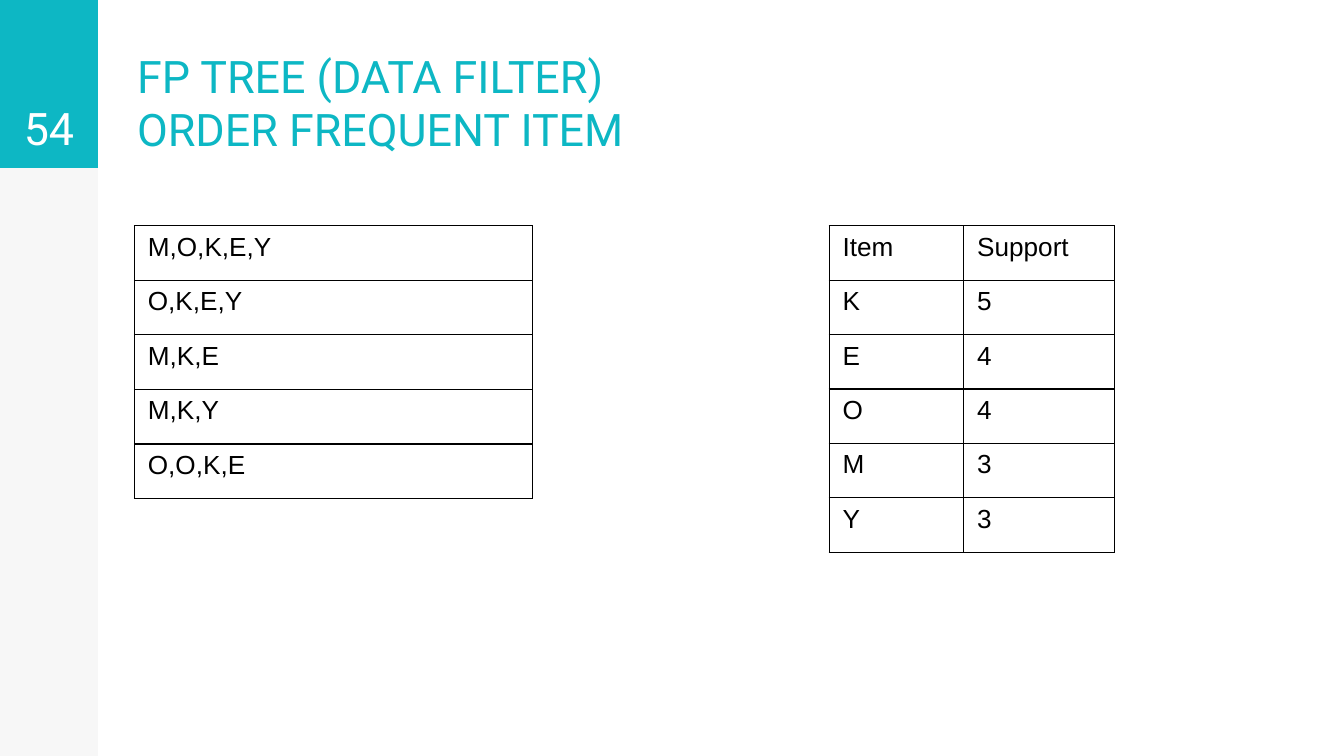
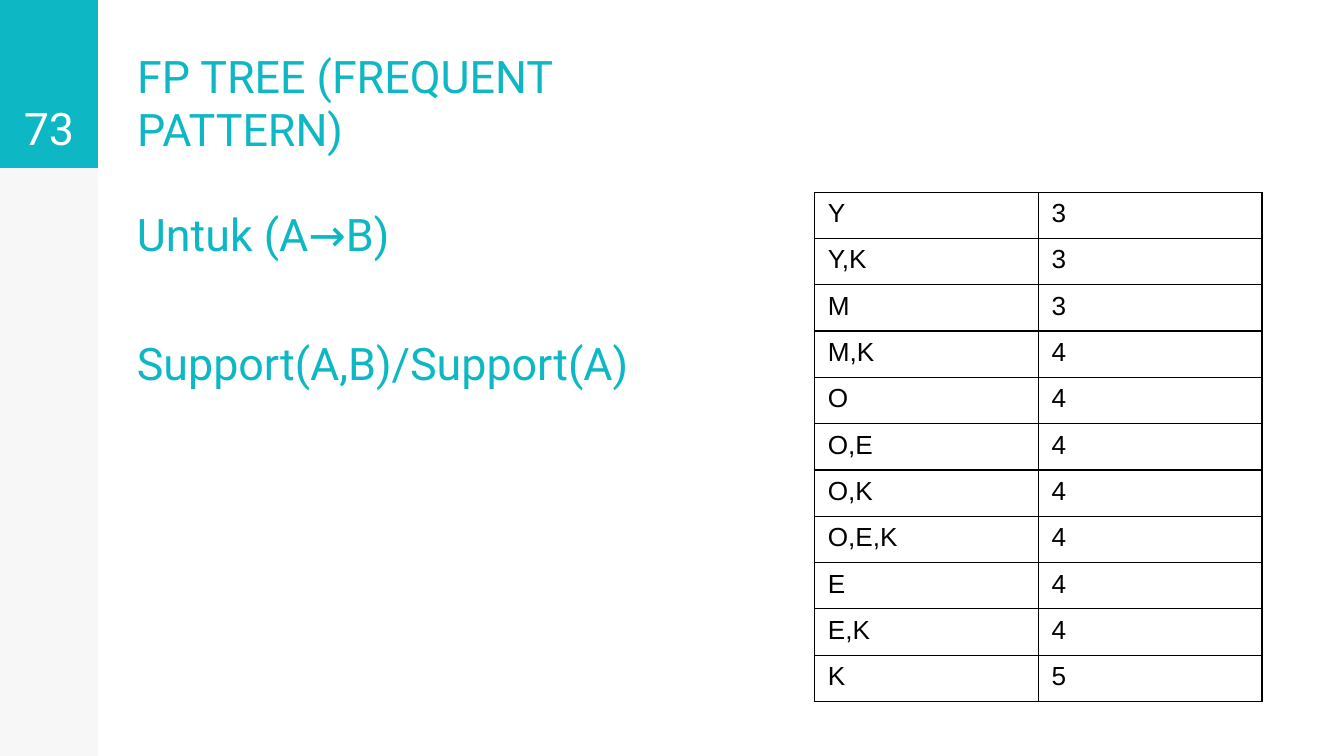
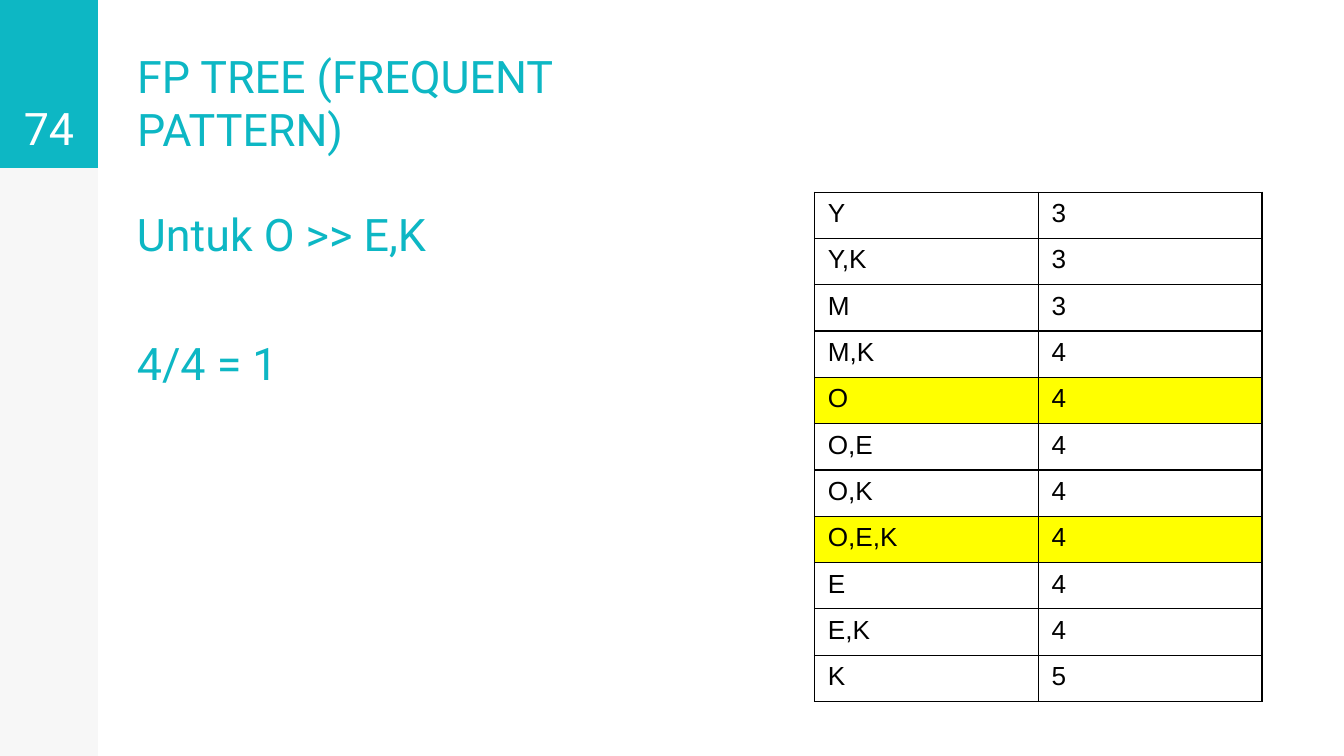
from dataclasses import dataclass

from lxml.etree import SubElement
from pptx import Presentation
from pptx.dml.color import RGBColor
from pptx.enum.shapes import MSO_SHAPE
from pptx.enum.text import MSO_ANCHOR, MSO_AUTO_SIZE, PP_ALIGN
from pptx.oxml.ns import qn
from pptx.util import Inches, Pt


@dataclass(frozen=True)
class Theme:
    teal: str = "0DB7C4"
    black: str = "000000"
    white: str = "FFFFFF"
    mark: str = "FFFF00"
    head_font: str = "Roboto"
    cell_font: str = "Arial"
    head_size: int = 24
    cell_size: int = 14
    rule: float = 0.75


THEME = Theme()
WIDTH = 10
HEIGHT = WIDTH * 9 / 16
BAND_W, BADGE_H = 0.73, 1.25
TEXT_X, TEXT_W = 0.92, 3.89

BASKETS = [["M,O,K,E,Y"], ["O,K,E,Y"], ["M,K,E"], ["M,K,Y"], ["O,O,K,E"]]
ITEMS = [("Item", "Support"), ("K", "5"), ("E", "4"), ("O", "4"), ("M", "3"), ("Y", "3")]
PATTERNS = [
    ("Y", "3"), ("Y,K", "3"), ("M", "3"), ("M,K", "4"), ("O", "4"), ("O,E", "4"),
    ("O,K", "4"), ("O,E,K", "4"), ("E", "4"), ("E,K", "4"), ("K", "5"),
]


def place(shape, left, top, width, height):
    shape.left, shape.top = Inches(left), Inches(top)
    shape.width, shape.height = Inches(width), Inches(height)


def add_run(para, text, font, size, color):
    run = para.add_run()
    run.text = text
    run.font.name = font
    run.font.size = Pt(size)
    run.font.color.rgb = RGBColor.from_string(color)


def write(shape, lines, color=THEME.teal, align=PP_ALIGN.LEFT):
    """Fill a frame with bottom-anchored heading text."""
    frame = shape.text_frame
    frame.word_wrap = True
    frame.auto_size = MSO_AUTO_SIZE.NONE
    frame.vertical_anchor = MSO_ANCHOR.BOTTOM
    frame.margin_left = frame.margin_right = Inches(0.1)
    frame.margin_top = frame.margin_bottom = Inches(0.1)
    para = frame.paragraphs[0]
    para.alignment = align
    for i, line in enumerate(lines):
        if i:
            para.add_line_break()
        add_run(para, line, THEME.head_font, THEME.head_size, color)


def add_block(slide, height, color, alpha=None):
    """Draw a plain block at the top left, as wide as the side band."""
    block = slide.shapes.add_shape(
        MSO_SHAPE.RECTANGLE, 0, 0, Inches(BAND_W), Inches(height))
    block.shadow.inherit = False
    block.line.fill.background()
    block.fill.solid()
    block.fill.fore_color.rgb = RGBColor.from_string(color)
    if alpha is not None:
        tint = block.fill._xPr.find(".//" + qn("a:srgbClr"))
        SubElement(tint, qn("a:alpha"), val=str(alpha * 1000))


def add_text(slide, left, top, width, height, text, **style):
    box = slide.shapes.add_textbox(0, 0, 0, 0)
    place(box, left, top, width, height)
    write(box, [text], **style)


def add_page(deck, lines, number):
    """Start a slide with the side band, title and page number."""
    slide = deck.slides.add_slide(deck.slide_layouts[5])
    add_block(slide, HEIGHT, THEME.black, alpha=3)
    add_block(slide, BADGE_H, THEME.teal)
    title = slide.shapes.title
    place(title, TEXT_X, 0.01, TEXT_W, BADGE_H)
    write(title, lines)
    # Bring the title in front of the band
    slide.shapes._spTree.append(title._element)
    add_text(slide, 0, 0, BAND_W, BADGE_H, number,
             color=THEME.white, align=PP_ALIGN.CENTER)
    return slide


def add_note(slide, top, text):
    add_text(slide, TEXT_X, top, TEXT_W, 0.58, text)


def add_edges(cell):
    props = cell._tc.get_or_add_tcPr()
    for side in ("lnL", "lnR", "lnT", "lnB"):
        edge = SubElement(props, qn("a:" + side), w=str(Pt(THEME.rule)))
        fill = SubElement(edge, qn("a:solidFill"))
        SubElement(fill, qn("a:srgbClr"), val=THEME.black)


def add_grid(slide, left, top, widths, height, rows, marked=()):
    """Add a ruled table; rows whose first cell is in marked are filled."""
    frame = slide.shapes.add_table(
        len(rows), len(widths), Inches(left), Inches(top),
        Inches(sum(widths)), Inches(height))
    table = frame.table
    table.first_row = table.horz_banding = False
    for col, width in zip(table.columns, widths):
        col.width = Inches(width)
    for line, row in zip(table.rows, rows):
        line.height = Inches(height / len(rows))
        for cell, text in zip(line.cells, row):
            add_edges(cell)
            if row[0] in marked:
                cell.fill.solid()
                cell.fill.fore_color.rgb = RGBColor.from_string(THEME.mark)
            else:
                cell.fill.background()
            add_run(cell.text_frame.paragraphs[0], text,
                    THEME.cell_font, THEME.cell_size, THEME.black)


def add_rule(deck, number, claim, ratio, marked=()):
    """Add a slide that sets a rule beside the frequent patterns."""
    slide = add_page(deck, ["FP TREE (FREQUENT PATTERN)"], number)
    add_note(slide, 1.46, claim)
    add_grid(slide, 6.06, 1.43, [3.33 / 2] * 2, 3.79, PATTERNS, marked)
    add_note(slide, 2.42, ratio)


def main():
    deck = Presentation()
    deck.slide_width, deck.slide_height = Inches(WIDTH), Inches(HEIGHT)

    # Ordered items
    slide = add_page(deck, ["FP TREE (DATA FILTER)", "ORDER FREQUENT ITEM"], "54")
    add_grid(slide, 6.17, 1.68, [1, 1.12], 2.43, ITEMS)
    add_grid(slide, 1, 1.68, [2.96], 2.03, BASKETS)

    # Confidence formula, then a worked case
    add_rule(deck, "73", "Untuk (A→B)", "Support(A,B)/Support(A)")
    add_rule(deck, "74", "Untuk O >> E,K", "4/4 = 1", marked=("O", "O,E,K"))

    deck.save("out.pptx")


if __name__ == "__main__":
    main()
